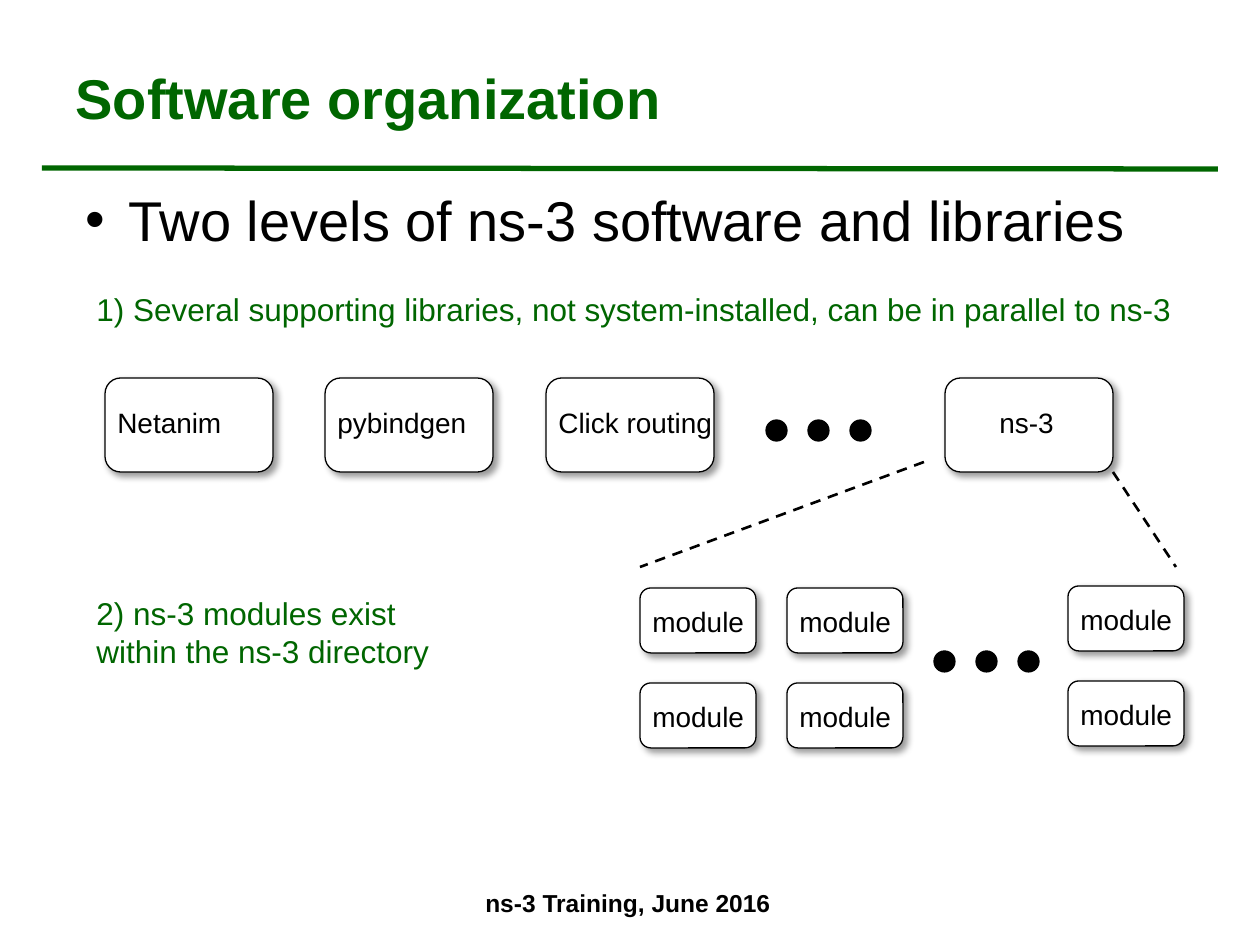
from pptx import Presentation
from pptx.dml.color import RGBColor
from pptx.enum.dml import MSO_LINE
from pptx.enum.shapes import MSO_CONNECTOR, MSO_SHAPE
from pptx.enum.text import MSO_ANCHOR, MSO_AUTO_SIZE, PP_ALIGN
from pptx.oxml import parse_xml
from pptx.oxml.ns import nsdecls, qn
from pptx.util import Pt

# Content
TITLE = "Software organization"
BULLET = "Two levels of ns-3 software and libraries"
FOOTER = "ns-3 Training, June 2016"
GREEN, BLACK, WHITE = "006600", "000000", "FFFFFF"
# text lines, left, top, width, height
NOTES = [
    (["1) Several supporting libraries, not system-installed, can be in parallel to ns-3"],
     84, 284, 1110, 50),
    (["2) ns-3 modules exist", "within the ns-3 directory"], 84, 588, 362, 89),
]
# label, box left, label inset, label width, wrap
LIBRARIES = [
    ("ns-3", 945, 42, 81, False),
    ("Click routing", 546, 0, 180, False),
    ("Netanim", 105, 0, 179, True),
    ("pybindgen", 325, 0, 179, True),
]
MODULE_COLUMNS = [(640, 588), (787, 588), (1068, 586)]  # left, top
MODULE_ROWS, MODULE_PITCH = 2, 95
LIBRARY_DOTS, MODULE_DOTS = (766, 420), (934, 651)
DASHES = [(924, 462, 640, 567), (1113, 472, 1176, 567)]

PX = 914400 / 126


def px(*lengths):
    return [round(length * PX) for length in lengths]


def color(value):
    return RGBColor.from_string(value)


def write(frame, lines, size, ink, bold=False, align=PP_ALIGN.LEFT):
    for index, line in enumerate(lines):
        para = frame.paragraphs[0] if index == 0 else frame.add_paragraph()
        para.alignment = align
        span = para.add_run()
        span.text = line
        for name, value in {"name": "Arial", "size": Pt(size), "bold": bold}.items():
            setattr(span.font, name, value)
        span.font.color.rgb = color(ink)


def add_text(parent, lines, place, size, ink, wrap=False, grow=True, **style):
    frame = parent.add_textbox(*px(*place)).text_frame
    frame.word_wrap = wrap
    if grow:
        frame.auto_size = MSO_AUTO_SIZE.SHAPE_TO_FIT_TEXT
    write(frame, lines, size, ink, **style)


def add_shape(parent, kind, place, fill):
    shape = parent.add_shape(kind, *px(*place))
    shape.shadow.inherit = False
    shape.fill.solid()
    shape.fill.fore_color.rgb = color(fill)
    shape.line.color.rgb = color(BLACK)
    shape.line.width = Pt(0.75)
    return shape


def add_box(parent, label, place, text_place, wrap=False):
    box = add_shape(parent, MSO_SHAPE.FLOWCHART_ALTERNATE_PROCESS, place, WHITE)
    box._element.spPr.find(qn("a:effectLst")).append(parse_xml(
        f'<a:outerShdw {nsdecls("a")} blurRad="50800" dist="38100" dir="2700000" '
        'algn="tl" rotWithShape="0"><a:srgbClr val="000000">'
        '<a:alpha val="40000"/></a:srgbClr></a:outerShdw>'))
    add_text(parent, [label], text_place, 16, BLACK, wrap)


def add_dots(parent, left, top):
    for index in range(3):
        add_shape(parent, MSO_SHAPE.OVAL, (left + 42 * index, top, 21, 21), BLACK)


def add_line(parent, ends, ink, width, dash=None):
    line = parent.add_connector(MSO_CONNECTOR.STRAIGHT, *px(*ends))
    line.line.color.rgb = color(ink)
    line.line.width = Pt(width)
    if dash:
        line.line.dash_style = dash
    line._element.spPr.append(parse_xml(f'<a:effectLst {nsdecls("a")}/>'))


def place_holder(holder, place, anchor):
    holder.left, holder.top, holder.width, holder.height = px(*place)
    holder.text_frame.vertical_anchor = anchor
    holder.text_frame.auto_size = MSO_AUTO_SIZE.NONE
    return holder.text_frame


def main():
    deck = Presentation()
    deck.slide_width, deck.slide_height = px(1260, 945)
    page = deck.slides.add_slide(deck.slide_layouts[1])
    shapes = page.shapes

    # Title, rule and bullet
    add_line(shapes, (42, 168, 1218, 169), GREEN, 3)
    title = place_holder(shapes.title, (63, 38, 1130, 118), MSO_ANCHOR.MIDDLE)
    write(title, [TITLE], 32, GREEN, bold=True)
    body = place_holder(page.placeholders[1], (73, 179, 1130, 672), MSO_ANCHOR.TOP)
    write(body, [BULLET], 32, BLACK)
    para = body.paragraphs[0]
    para.space_before = Pt(8)
    bullet = para._p.get_or_add_pPr()
    indent = px(43)[0]
    bullet.set("marL", str(indent))
    bullet.set("indent", str(-indent))
    for tag in ('<a:buClr {}><a:srgbClr val="000000"/></a:buClr>',
                '<a:buFont {} typeface="Arial"/>', '<a:buChar {} char="•"/>'):
        bullet.append(parse_xml(tag.format(nsdecls("a"))))

    # Row of libraries
    for label, left, inset, width, wrap in LIBRARIES:
        add_box(shapes, label, (left, 378, 168, 94), (left + inset, 399, width, 47), wrap)
    add_dots(shapes.add_group_shape().shapes, *LIBRARY_DOTS)

    # Grid of modules
    modules = shapes.add_group_shape().shapes
    for left, first in MODULE_COLUMNS:
        for row in range(MODULE_ROWS):
            top = first + MODULE_PITCH * row
            add_box(modules, "module", (left, top, 116, 65), (left, top + 10, 118, 47))
    add_dots(modules, *MODULE_DOTS)

    # Dashed links from ns-3 to its modules
    for ends in DASHES:
        add_line(shapes, ends, BLACK, 1.5, MSO_LINE.DASH)

    # Notes and footer
    for lines, *place in NOTES:
        add_text(shapes, lines, place, 18, GREEN)
    add_text(shapes, [FOOTER], (431, 882, 394, 63), 14, BLACK, wrap=True, grow=False,
             bold=True, align=PP_ALIGN.CENTER)

    deck.save("out.pptx")


if __name__ == "__main__":
    main()
